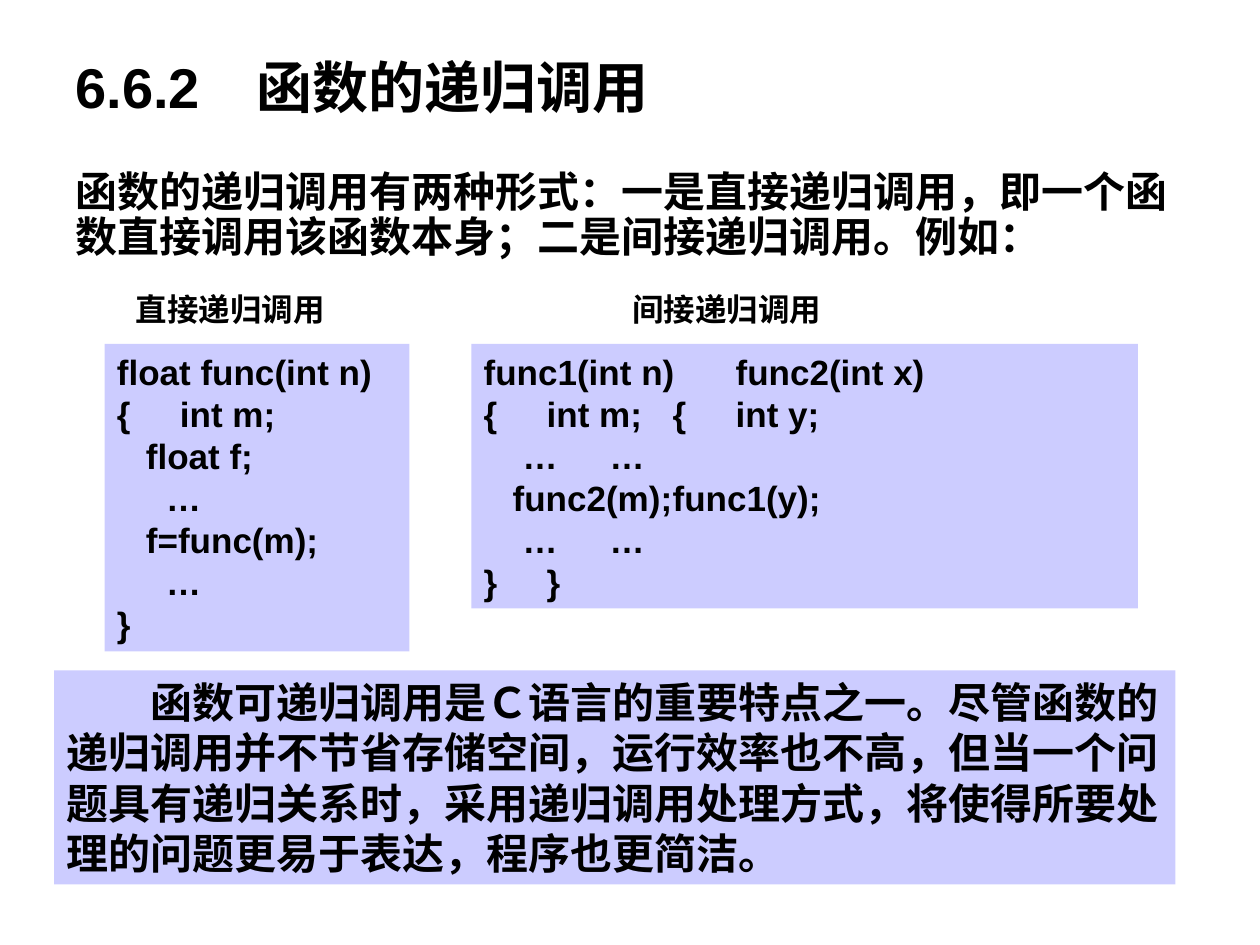
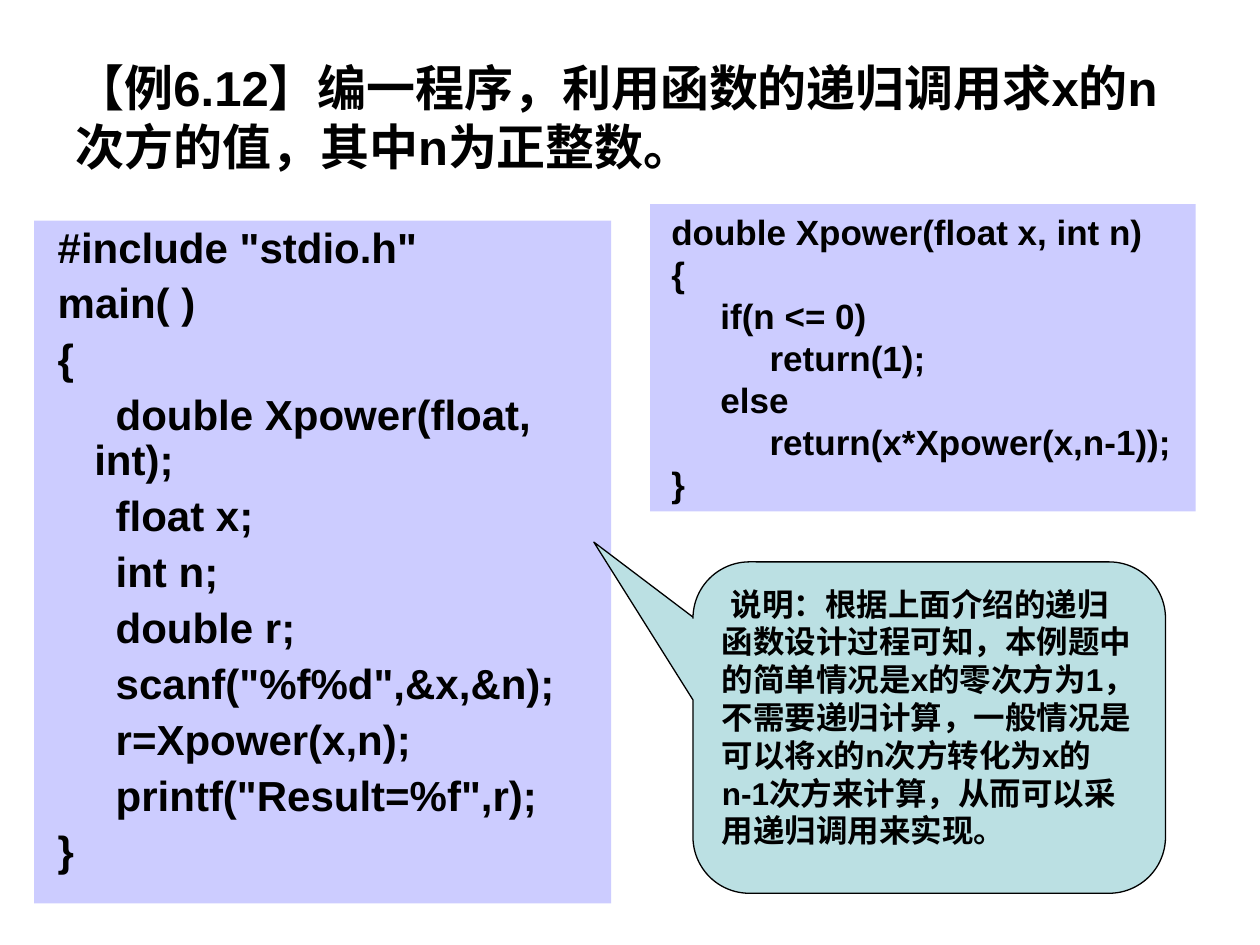
from lxml.etree import SubElement as Sub
from pptx import Presentation
from pptx.dml.color import RGBColor as Rgb
from pptx.enum.shapes import MSO_SHAPE as Kind
from pptx.enum.text import MSO_ANCHOR as Anchor, MSO_AUTO_SIZE as Fit, PP_ALIGN as Align
from pptx.oxml.ns import qn
from pptx.util import Inches, Pt

HUE = {"ink": "000000", "code": "CCCCFF", "note": "BBE0E3"}
FONT = {"name": "Arial", "bold": True}
FRAME = {
    "word_wrap": True, "auto_size": Fit.NONE,
    "margin_left": Inches(0.1), "margin_right": Inches(0.1),
    "margin_top": Inches(0.05), "margin_bottom": Inches(0.05),
}
FLOW = {"alignment": Align.LEFT, "space_before": Pt(0), "line_spacing": 1.0}
BODY = {"space_before": Pt(6), "line_spacing": 0.9}

SELF = [
    [(0, "float func(int n)")],
    [(0, "{"), (0.26, "int m;")],
    [(0.23, "float f;")],
    [(0.39, "…")],
    [(0.23, "f=func(m);")],
    [(0.39, "…")],
    [(0, "}")],
]
PAIR = [
    [(0, "func1(int n)"), (2.6, "func2(int x)")],
    [(0, "{"), (0.26, "int m;"), (2.63, "{"), (2.9, "int y;")],
    [(0.31, "…"), (2.68, "…")],
    [(0.23, "func2(m);"), (3.12, "func1(y);")],
    [(0.31, "…"), (2.68, "…")],
    [(0, "}"), (2.57, "}")],
]
MAIN = [
    [(0.09, '#include "stdio.h"')],
    [(0.09, "main( )")],
    [(0.09, "{")],
    [(0.55, "double Xpower(float, int);")],
    [(0.55, "float x;")],
    [(0.55, "int n;")],
    [(0.55, "double r;")],
    [(0.55, 'scanf("%f%d",&x,&n);')],
    [(0.55, "r=Xpower(x,n);")],
    [(0.55, 'printf("Result=%f",r);')],
    [(0.09, "}")],
]
POWER = [
    [(0.07, "double Xpower(float x, int n)")],
    [(0.07, "{")],
    [(0.46, "if(n <= 0)")],
    [(0.85, "return(1);")],
    [(0.46, "else")],
    [(0.85, "return(x*Xpower(x,n-1));")],
    [(0.07, "}")],
]


def apply(thing, form):
    for key, value in form.items():
        setattr(thing, key, value)


def color(name):
    return Rgb.from_string(HUE[name])


def indent(para, line, hang):
    props = para._p.get_or_add_pPr()
    props.set("marL", str(Inches(hang)))
    props.set("indent", str(Inches(line[0][0] - hang)))
    if line[1:]:
        tabs = Sub(props, qn("a:tabLst"))
        for stop, _ in line[1:]:
            Sub(tabs, qn("a:tab"), pos=str(Inches(stop)), algn="l")


def write(shape, lines, size, flow={}, hang=0, anchor=Anchor.TOP):
    frame = shape.text_frame
    apply(frame, {**FRAME, "vertical_anchor": anchor})
    for num, line in enumerate(lines):
        para = frame.add_paragraph() if num else frame.paragraphs[0]
        apply(para, {**FLOW, **flow})
        indent(para, line, hang)
        run = para.add_run()
        run.text = "\t".join(text for _, text in line)
        apply(run.font, {**FONT, "size": Pt(size)})
        run.font.color.rgb = color("ink")


def title(slide, box, text, size):
    head = slide.shapes.title
    apply(head, dict(zip(("left", "top", "width", "height"), map(Inches, box))))
    write(head, [[(0, text)]], size, anchor=Anchor.MIDDLE)


def label(slide, box, text, size, flow):
    write(slide.shapes.add_textbox(*map(Inches, box)), [[(0, text)]], size, flow)


def panel(slide, box, lines, size, flow={}, hang=0, fill="code", kind=Kind.RECTANGLE):
    shape = slide.shapes.add_shape(kind, *map(Inches, box))
    shape.shadow.inherit = False
    shape.fill.solid()
    shape.fill.fore_color.rgb = color(fill)
    shape.line.fill.background()
    write(shape, lines, size, flow, hang)
    return shape


def callout(slide, box, text):
    shape = panel(slide, box, [[(0.07, text)]], 18, fill="note",
                  kind=Kind.ROUNDED_RECTANGULAR_CALLOUT)
    for num, value in enumerate((-0.71, -0.56, 0.17)):
        shape.adjustments[num] = value
    shape.line.color.rgb = color("ink")
    shape.line.width = Pt(0.75)


def forms(slide):
    title(slide, (0.5, 0.3, 9, 0.77), "6.6.2　函数的递归调用", 32)
    label(slide, (0.5, 1.31, 9, 0.87),
          "函数的递归调用有两种形式：一是直接递归调用，即一个函数直接调用该函数本身；"
          "二是间接递归调用。例如：", 24, BODY)
    for left, text in ((0.98, "直接递归调用"), (4.92, "间接递归调用")):
        label(slide, (left, 2.25, 2.05, 0.4), text, 18, {"space_before": Pt(11.2)})
    panel(slide, (0.83, 2.73, 2.42, 2.44), SELF, 20)
    panel(slide, (3.74, 2.73, 5.29, 2.1), PAIR, 20)
    panel(slide, (0.43, 5.32, 8.9, 1.7), [[(0.67,
          "函数可递归调用是Ｃ语言的重要特点之一。尽管函数的递归调用并不节省存储空间，"
          "运行效率也不高，但当一个问题具有递归关系时，采用递归调用处理方式，"
          "将使得所要处理的问题更易于表达，程序也更简洁。")]], 24, {"space_before": Pt(15)})


def sample(slide):
    title(slide, (0.5, 0.3, 9, 1.25),
          "【例6.12】编一程序，利用函数的递归调用求x的n次方的值，其中n为正整数。", 28)
    panel(slide, (0.27, 1.75, 4.58, 5.42), MAIN, 24, BODY, hang=0.38)
    panel(slide, (5.16, 1.62, 4.33, 2.44), POWER, 20)
    callout(slide, (5.5, 4.46, 3.75, 2.63),
            "说明：根据上面介绍的递归函数设计过程可知，本例题中的简单情况是x的零次方为1，"
            "不需要递归计算，一般情况是可以将x的n次方转化为x的n-1次方来计算，"
            "从而可以采用递归调用来实现。")


def main():
    deck = Presentation()
    apply(deck, {"slide_width": Inches(10), "slide_height": Inches(7.5)})
    for build in (forms, sample):
        build(deck.slides.add_slide(deck.slide_layouts[5]))
    deck.save("out.pptx")


if __name__ == "__main__":
    main()
